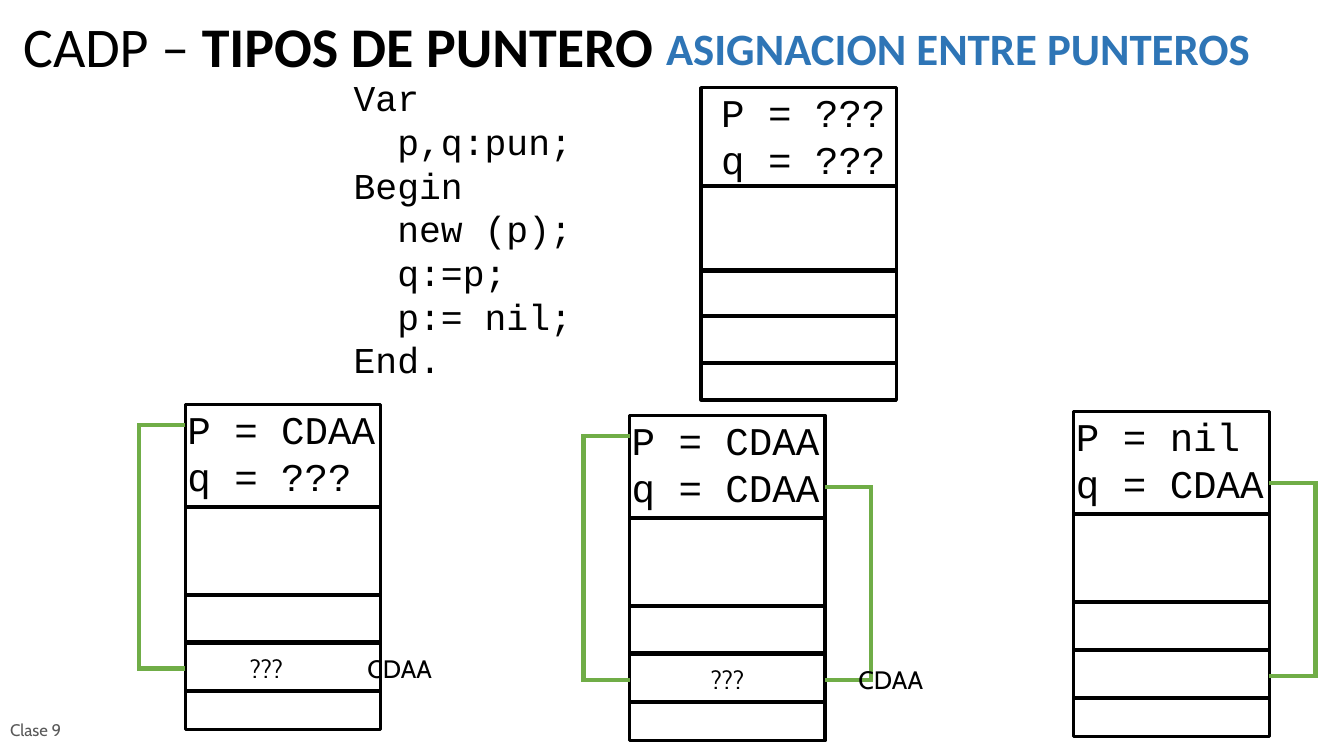
from dataclasses import dataclass

from lxml import etree
from pptx import Presentation
from pptx.dml.color import RGBColor
from pptx.enum.shapes import MSO_CONNECTOR, MSO_SHAPE
from pptx.enum.text import MSO_ANCHOR, MSO_AUTO_SIZE, PP_ALIGN
from pptx.oxml.ns import qn
from pptx.util import Pt

STRAIGHT = MSO_CONNECTOR.STRAIGHT
RECTANGLE = MSO_SHAPE.RECTANGLE
TOP, MIDDLE = MSO_ANCHOR.TOP, MSO_ANCHOR.MIDDLE
LEFT = PP_ALIGN.LEFT
NO_AUTOFIT = MSO_AUTO_SIZE.NONE
TITLE_ONLY = 5


@dataclass(frozen=True)
class Theme:
    ink: RGBColor = RGBColor(0, 0, 0)
    gray: RGBColor = RGBColor(0x59, 0x59, 0x59)
    blue: RGBColor = RGBColor(0x2E, 0x75, 0xB6)
    green: RGBColor = RGBColor(0x70, 0xAD, 0x47)
    heading: str = "Calibri"
    label: str = "Cabin"
    mono: str = "Courier New"
    title_size: int = 40
    subtitle_size: int = 32
    variable_size: int = 28
    code_size: int = 26
    cell_size: int = 18
    footer_size: int = 12
    border: float = 2.25
    rule: float = 3


THEME = Theme()
ROW_RULES = (0.316, 0.585, 0.732, 0.881)  # fractions of the memory height
POINTED_CELL = 0.812
VARIABLE_Y = {"p": 15, "q": 51}
BRACKET_REACH = 33
CODE = ((0, "Var"), (1, "p,q:pun;"), (0, "Begin"), (1, "new (p);"),
        (1, "q:=p;"), (1, "p:= nil;"), (0, "End."))
CODE_INDENT = 31.2  # two characters

# box, variables, text inset, brackets (variable, side), cell labels (text, x)
MEMORIES = (
    ((501, 62.6, 139.7, 223.2), ("P = ???", "q = ???"), 14.4, (), ()),
    ((132.5, 288.7, 139.7, 232.6), ("P = CDAA", "q = ???"), 1.4,
     (("p", "left"),), (("???", 46), ("CDAA", 130))),
    ((767.5, 293.8, 139.7, 232.6), ("P = nil", "q = CDAA"), 1.4,
     (("q", "right"),), ()),
    ((450, 296.6, 139.7, 232.6), ("P = CDAA", "q = CDAA"), 1.4,
     (("p", "left"), ("q", "right")), (("???", 58), ("CDAA", 163.5))),
)


def style(p, font, size, color, bold=False):
    p.font.name, p.font.size, p.font.bold = font, Pt(size), bold
    p.font.color.rgb = color


def clear_insets(tf):
    tf.margin_left = tf.margin_right = tf.margin_top = tf.margin_bottom = 0


def add_text(shapes, box, lines, font, size, color, bold=False, anchor=TOP):
    sp = shapes.add_textbox(*map(Pt, box))
    tf = sp.text_frame
    tf.word_wrap = True
    tf.vertical_anchor = anchor
    clear_insets(tf)
    tf.text = "\n".join(lines)
    for p in tf.paragraphs:
        style(p, font, size, color, bold)
    return tf


def add_line(shapes, x1, y1, x2, y2, color):
    line = shapes.add_connector(STRAIGHT, *map(Pt, (x1, y1, x2, y2)))
    line.line.color.rgb = color
    line.line.width = Pt(THEME.rule)
    etree.SubElement(line._element.spPr, qn("a:effectLst"))


def add_heading(slide, box):
    left, top, width, height = box
    title = slide.shapes.title
    title.left, title.top, title.width, title.height = map(
        Pt, (left, top, 720, height))
    tf = title.text_frame
    tf.auto_size = NO_AUTOFIT
    tf.vertical_anchor = TOP
    clear_insets(tf)
    p = tf.paragraphs[0]
    p.alignment = LEFT
    p.line_spacing = 0.9
    style(p, THEME.heading, THEME.title_size, THEME.ink)
    p.add_run().text = "CADP – "
    r = p.add_run()
    r.text = "TIPOS DE PUNTERO"
    r.font.bold = True
    add_text(slide.shapes, (left + 459.4, top + 1.4, width - 459.4, 40),
             ["ASIGNACION ENTRE PUNTEROS"], THEME.heading,
             THEME.subtitle_size, THEME.blue, bold=True)


def add_code(slide, box):
    tf = add_text(slide.shapes, box, [text for _, text in CODE],
                  THEME.mono, THEME.code_size, THEME.ink)
    for p, (level, _) in zip(tf.paragraphs, CODE):
        p._p.get_or_add_pPr().set("marL", str(Pt(level * CODE_INDENT)))


def add_bracket(shapes, box, variable, side):
    """Join a variable to the cell it points at, around one side."""
    left, top, width, height = box
    edge, out = (left, -1) if side == "left" else (left + width, 1)
    x = edge + out * BRACKET_REACH
    start, end = top + VARIABLE_Y[variable], top + height * POINTED_CELL
    for y in (start, end):
        add_line(shapes, edge, y, x + out * THEME.rule / 2, y, THEME.green)
    add_line(shapes, x, start, x, end, THEME.green)


def add_memory(slide, box, variables, inset, brackets, labels):
    left, top, width, height = box
    shapes = slide.shapes.add_group_shape().shapes
    sp = shapes.add_shape(RECTANGLE, *map(Pt, box))
    sp.shadow.inherit = False
    sp.fill.background()
    sp.line.color.rgb = THEME.ink
    sp.line.width = Pt(THEME.border)
    for fraction in ROW_RULES:
        y = top + height * fraction
        add_line(shapes, left, y, left + width, y, THEME.ink)
    for variable, side in brackets:
        add_bracket(shapes, box, variable, side)
    add_text(shapes, (left + inset, top + 0.5, width + 5, 68), variables,
             THEME.mono, THEME.variable_size, THEME.ink)
    for text, x in labels:
        add_text(shapes, (left + x, top + 178, 60, 22), [text],
                 THEME.label, THEME.cell_size, THEME.ink)


def main():
    prs = Presentation()
    prs.slide_width, prs.slide_height = Pt(960.5), Pt(540)
    slide = prs.slides.add_slide(prs.slide_layouts[TITLE_ONLY])
    add_heading(slide, (16.6, 13.7, 900, 47))
    add_code(slide, (252.7, 54, 170, 218))
    for memory in MEMORIES:
        add_memory(slide, *memory)
    add_text(slide.shapes, (7.2, 509, 65, 24), ["Clase 9"], THEME.label,
             THEME.footer_size, THEME.gray, anchor=MIDDLE)
    prs.save("out.pptx")


if __name__ == "__main__":
    main()
